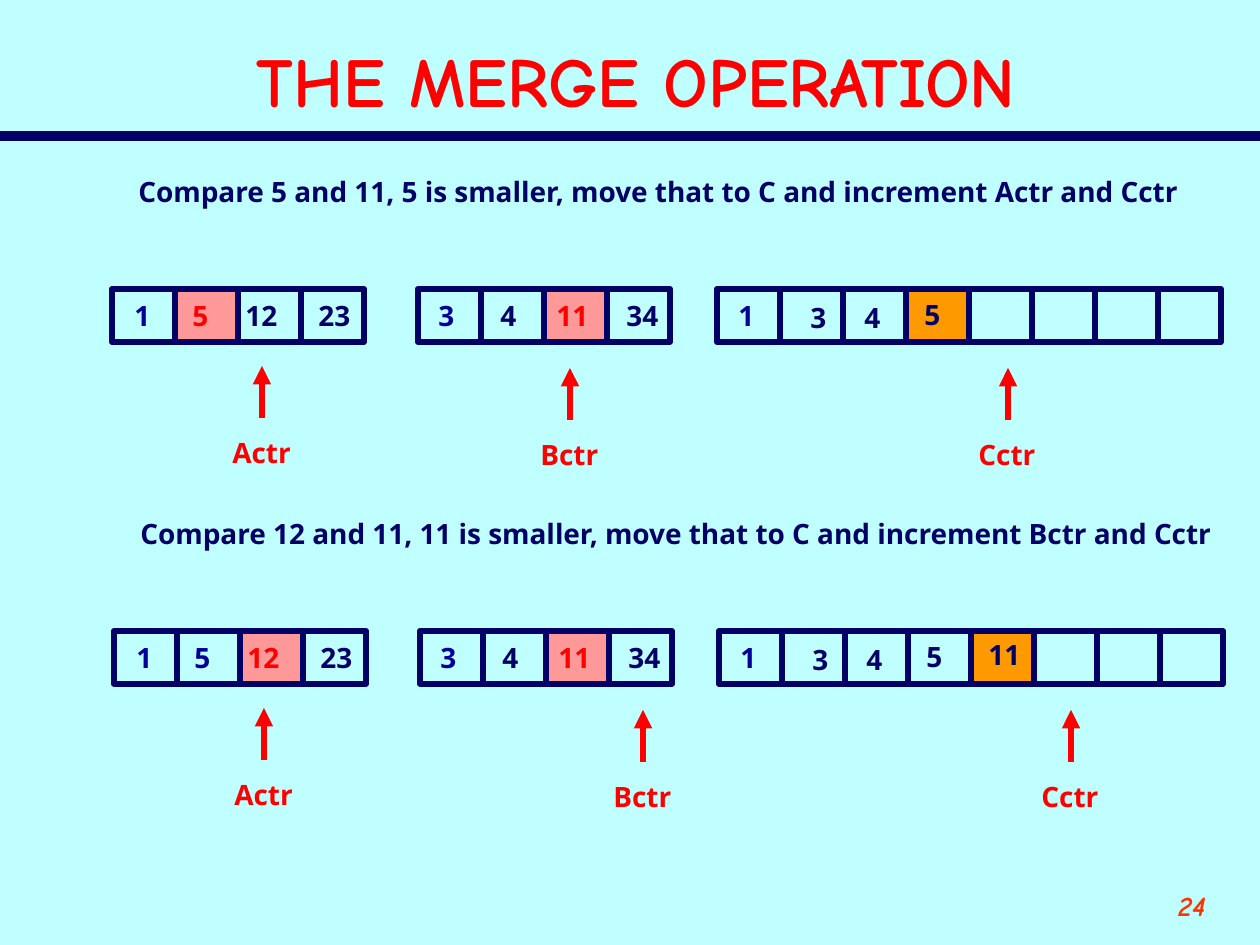
from dataclasses import dataclass

from lxml import etree
from pptx import Presentation
from pptx.dml.color import RGBColor
from pptx.enum.shapes import MSO_CONNECTOR, MSO_SHAPE
from pptx.enum.text import MSO_ANCHOR, MSO_AUTO_SIZE, PP_ALIGN
from pptx.oxml.ns import qn
from pptx.util import Emu, Pt

LINE = MSO_CONNECTOR.STRAIGHT
RECTANGLE = MSO_SHAPE.RECTANGLE
LEFT, CENTER, RIGHT = PP_ALIGN.LEFT, PP_ALIGN.CENTER, PP_ALIGN.RIGHT
TOP, MIDDLE = MSO_ANCHOR.TOP, MSO_ANCHOR.MIDDLE
NO_AUTOSIZE = MSO_AUTO_SIZE.NONE

EMU_PER_PX = 914400 / 126
COLOURS = {
    "background": "BFFFFF", "navy": "000066", "blue": "000099", "red": "FF0000",
    "page": "FF3300", "compared": "FF9999", "moved": "FF9900",
}
BODY_FONT, DISPLAY_FONT = "Noto Sans", "Comic Neue"
CELL_WIDTH, CELL_HEIGHT, CELL_TOP = 63, 53, 289
TEXT_HEIGHT = 47
ARROW_LENGTH = 52


@dataclass(frozen=True)
class Number:
    text: str
    left: int
    top: int = 292


@dataclass(frozen=True)
class Array:
    left: int
    slots: int
    numbers: tuple[Number, ...]
    highlight: str
    highlight_text: str


@dataclass(frozen=True)
class ArrayState:
    highlighted: int
    blue_count: int
    shown: int
    arrow_x: int
    arrow_top: int


@dataclass(frozen=True)
class Step:
    left: int
    top: int
    caption: str
    caption_width: int
    states: dict[str, ArrayState]


ARRAYS = {
    "A": Array(112, 4, (Number("1", 122), Number("5", 180), Number("12", 233),
                        Number("23", 306)), "compared", "red"),
    "B": Array(418, 4, (Number("3", 426), Number("4", 488), Number("11", 544),
                        Number("34", 614)), "compared", "red"),
    "C": Array(717, 8, (Number("1", 726), Number("3", 798, 294), Number("4", 852, 294),
                        Number("5", 912, 291), Number("11", 974, 289)), "moved", "navy"),
}
STEPS = (
    Step(0, 0, "Compare 5 and 11, 5 is smaller, move that to C and increment Actr and Cctr",
         1070, {"A": ArrayState(1, 1, 4, 262, 366),
                "B": ArrayState(2, 1, 4, 570, 368),
                "C": ArrayState(3, 1, 4, 1008, 368)}),
    Step(2, 342, "Compare 12 and 11, 11 is smaller, move that to C and increment Bctr and Cctr",
         1101, {"A": ArrayState(2, 2, 4, 262, 366),
                "B": ArrayState(2, 1, 4, 641, 368),
                "C": ArrayState(4, 1, 5, 1069, 368)}),
)


def px(length: int) -> Emu:
    return Emu(round(length * EMU_PER_PX))


def rgb(name: str) -> RGBColor:
    return RGBColor.from_string(COLOURS[name])


def add_text(shapes, text: str, left: int, top: int, width: int, colour: str,
             height: int = TEXT_HEIGHT, size: int = 16, font: str = BODY_FONT,
             align=LEFT, anchor=TOP, wrap: bool = False, italic: bool = False) -> None:
    frame = shapes.add_textbox(px(left), px(top), px(width), px(height)).text_frame
    frame.auto_size = NO_AUTOSIZE
    frame.word_wrap = wrap
    frame.vertical_anchor = anchor
    paragraph = frame.paragraphs[0]
    paragraph.text = text
    paragraph.alignment = align
    paragraph.font.name = font
    paragraph.font.size = Pt(size)
    paragraph.font.bold = True
    paragraph.font.italic = italic
    paragraph.font.color.rgb = rgb(colour)


def add_line(shapes, start: tuple[int, int], end: tuple[int, int], colour: str,
             width: float, arrow: bool = False) -> None:
    """Draw a line, with the arrowhead at its start if wanted."""
    line = shapes.add_connector(LINE, px(start[0]), px(start[1]), px(end[0]), px(end[1]))
    line.line.color.rgb = rgb(colour)
    line.line.width = Pt(width)
    if arrow:
        etree.SubElement(line.line._get_or_add_ln(), qn("a:headEnd"), type="triangle")
    etree.SubElement(line._element.spPr, qn("a:effectLst"))


def add_array(shapes, array: Array, state: ArrayState, step: Step) -> None:
    for slot in range(array.slots):
        cell = shapes.add_shape(
            RECTANGLE, px(step.left + array.left + slot * CELL_WIDTH),
            px(step.top + CELL_TOP), px(CELL_WIDTH), px(CELL_HEIGHT))
        cell.shadow.inherit = False
        cell.line.color.rgb = rgb("navy")
        cell.line.width = Pt(3.5)
        if slot == state.highlighted:
            cell.fill.solid()
            cell.fill.fore_color.rgb = rgb(array.highlight)
        else:
            cell.fill.background()
    for slot, number in enumerate(array.numbers[:state.shown]):
        if slot == state.highlighted:
            colour = array.highlight_text
        else:
            colour = "blue" if slot < state.blue_count else "navy"
        add_text(shapes, number.text, step.left + number.left, step.top + number.top,
                 40 if len(number.text) == 1 else 57, colour)


def add_counter(shapes, label: str, x: int, top: int) -> None:
    counter = shapes.add_group_shape().shapes
    add_line(counter, (x, top), (x, top + ARROW_LENGTH), "red", 3.5, arrow=True)
    add_text(counter, label, x - 42, top + 63, 83, "red")


def add_step(shapes, step: Step) -> None:
    add_text(shapes, step.caption, step.left + 126, step.top + 168,
             step.caption_width, "navy")
    for name, state in step.states.items():
        add_array(shapes, ARRAYS[name], state, step)
        add_counter(shapes, f"{name}ctr", step.left + state.arrow_x,
                    step.top + state.arrow_top)


def main() -> None:
    presentation = Presentation()
    presentation.slide_width, presentation.slide_height = px(1260), px(945)
    slide = presentation.slides.add_slide(presentation.slide_layouts[6])
    slide.background.fill.solid()
    slide.background.fill.fore_color.rgb = rgb("background")
    shapes = slide.shapes
    add_line(shapes, (0, 136), (1260, 136), "navy", 6)
    add_text(shapes, "24", 1092, 882, 126, "page", height=63, font=DISPLAY_FONT,
             align=RIGHT, wrap=True, italic=True)
    add_text(shapes, "THE MERGE OPERATION", 53, 32, 1166, "red", height=95, size=40,
             font=DISPLAY_FONT, align=CENTER, anchor=MIDDLE, wrap=True)
    for step in STEPS:
        add_step(shapes, step)
    presentation.save("out.pptx")


if __name__ == "__main__":
    main()
